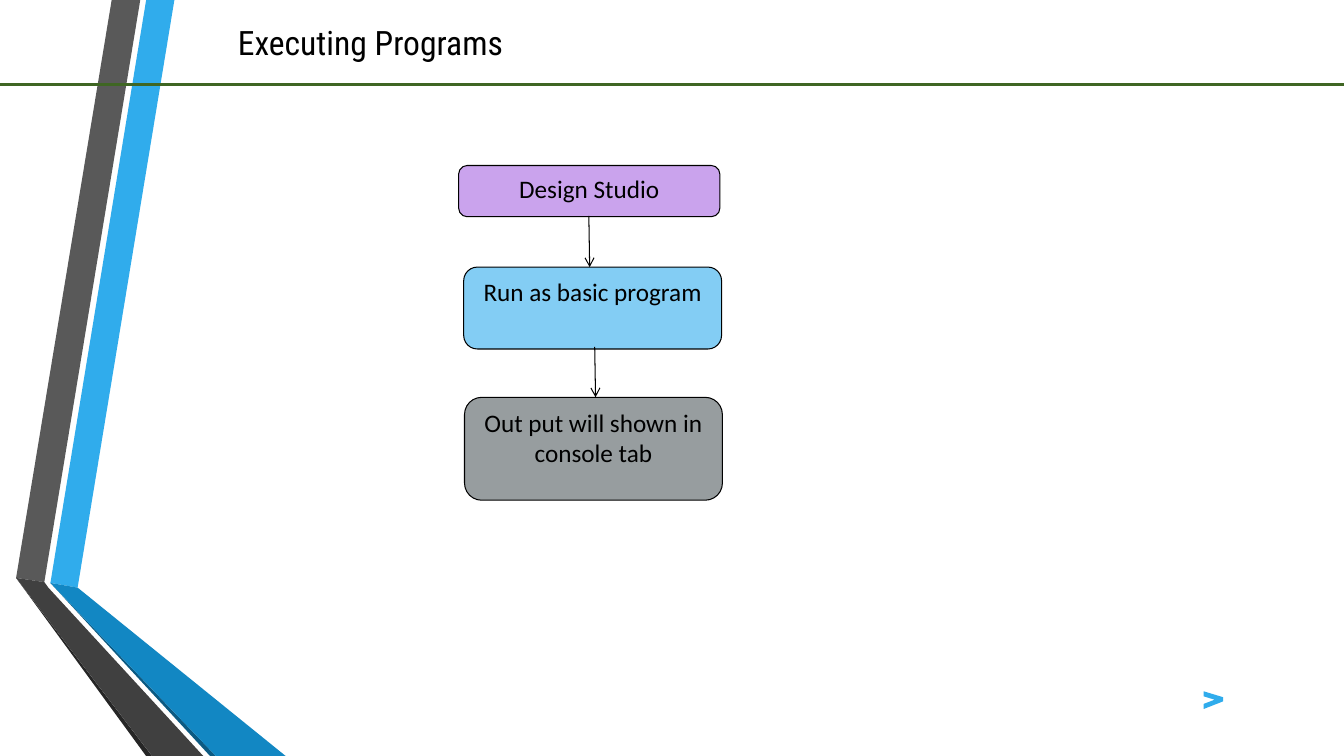
from lxml import etree
from pptx import Presentation
from pptx import util as u
from pptx.dml.color import RGBColor
from pptx.enum import shapes, text
from pptx.oxml import ns

BLACK = RGBColor(0x00, 0x00, 0x00)
GREEN = RGBColor(0x3F, 0x66, 0x23)
SKY = RGBColor(0x30, 0xAC, 0xEC)
BLUE = RGBColor(0x12, 0x87, 0xC3)
NAVY = RGBColor(0x0C, 0x5A, 0x82)
GRAY = RGBColor(0x59, 0x59, 0x59)
CHARCOAL = RGBColor(0x40, 0x40, 0x40)
SOOT = RGBColor(0x26, 0x26, 0x26)
LILAC = RGBColor(0xCA, 0xA3, 0xED)
PALE_BLUE = RGBColor(0x83, 0xCD, 0xF4)
STEEL = RGBColor(0x97, 0x9D, 0x9F)

RIBBONS = [
    (SKY, [(6, 69.4), (9.24, 69.96), (20.76, 0), (17.4, 0)]),
    (GRAY, [(16.7, 0), (13.3, 0), (1.92, 68.8), (5.28, 69.3)]),
    (SOOT, [(1.92, 68.8), (17.4, 90), (18.1, 90)]),
    (NAVY, [(6, 69.4), (25, 90), (25.7, 90)]),
    (BLUE, [(6, 69.4), (25.7, 90), (34, 90), (9.24, 69.96)]),
    (CHARCOAL, [(24.2, 90), (5.76, 69.96), (5.28, 69.3), (1.92, 68.8), (18.1, 90)]),
]
CHEVRON = [(143.3, 83.8), (144.6, 83.3), (143.3, 82.9), (143.3, 82.3),
           (145.6, 83), (145.6, 83.5), (143.3, 84.4)]
STEPS = [
    ("Design Studio", LILAC, (54.6, 19.7, 31.1, 6.1)),
    ("Run as basic program", PALE_BLUE, (55.2, 31.8, 30.7, 9.75)),
    ("Out put will shown in console tab", STEEL, (55.3, 47.3, 30.7, 12.25)),
]
ARROWS = [((70.1, 25.7), (70.2, 31.8)), ((70.8, 41.3), (70.9, 47.3))]


class SlideBuilder:
    columns, rows = 160, 90
    title_font, body_font = "Roboto Condensed", "Calibri"

    def __init__(self, presentation):
        self.width = presentation.slide_width
        self.height = presentation.slide_height
        self.slide = presentation.slides.add_slide(presentation.slide_layouts[5])
        self.shapes = self.slide.shapes

    def point(self, column, row):
        return (round(column * self.width / self.columns),
                round(row * self.height / self.rows))

    def box(self, left, top, width, height):
        return self.point(left, top) + self.point(width, height)

    def label(self, shape, words, font, size, anchor):
        frame = shape.text_frame
        frame.text = words
        frame.word_wrap = True
        frame.vertical_anchor = anchor
        paragraph = frame.paragraphs[0]
        paragraph.alignment = text.PP_ALIGN.CENTER
        for run in paragraph.runs:
            run.font.name = font
            run.font.size = u.Pt(size)
            run.font.color.rgb = BLACK

    def title(self, words, area):
        shape = self.shapes.title
        shape.left, shape.top, shape.width, shape.height = self.box(*area)
        self.label(shape, words, self.title_font, 24, text.MSO_ANCHOR.MIDDLE)

    def polygon(self, color, corners):
        start, *others = [self.point(*corner) for corner in corners]
        builder = self.shapes.build_freeform(*start)
        builder.add_line_segments(others, close=True)
        shape = builder.convert_to_shape()
        shape.shadow.inherit = False
        shape.fill.solid()
        shape.fill.fore_color.rgb = color
        shape.line.fill.background()

    def step(self, words, color, area):
        shape = self.shapes.add_shape(
            shapes.MSO_SHAPE.FLOWCHART_ALTERNATE_PROCESS, *self.box(*area))
        shape.shadow.inherit = False
        shape.fill.solid()
        shape.fill.fore_color.rgb = color
        shape.line.color.rgb = BLACK
        shape.line.width = u.Pt(0.75)
        self.label(shape, words, self.body_font, 18, text.MSO_ANCHOR.TOP)

    def line(self, start, end, color, width, arrow=False):
        connector = self.shapes.add_connector(
            shapes.MSO_CONNECTOR.STRAIGHT, *self.point(*start), *self.point(*end))
        connector.line.color.rgb = color
        connector.line.width = u.Pt(width)
        properties = connector._element.spPr
        etree.SubElement(properties, ns.qn("a:effectLst"))
        if arrow:
            outline = properties.find(ns.qn("a:ln"))
            etree.SubElement(outline, ns.qn("a:tailEnd"), type="arrow")


def main():
    presentation = Presentation()
    presentation.slide_width = u.Inches(13.33)
    presentation.slide_height = u.Inches(7.5)
    builder = SlideBuilder(presentation)
    for color, corners in RIBBONS:
        builder.polygon(color, corners)
    builder.title("Executing Programs", (24.7, 1.4, 38.8, 7.2))
    builder.line((0, 10.1), (builder.columns, 10.1), GREEN, 2.25)
    builder.polygon(SKY, CHEVRON)
    for words, color, area in STEPS:
        builder.step(words, color, area)
    for start, end in ARROWS:
        builder.line(start, end, BLACK, 0.75, arrow=True)
    presentation.save("out.pptx")


if __name__ == "__main__":
    main()
